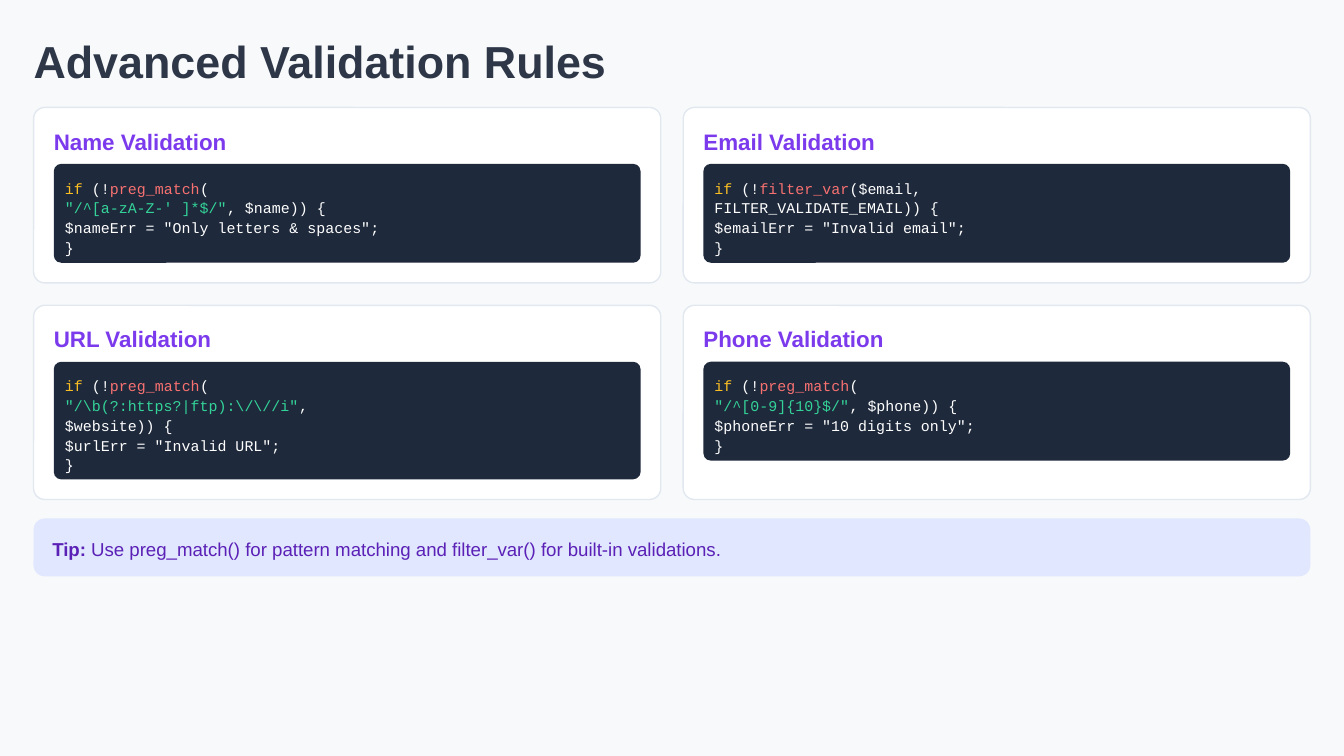
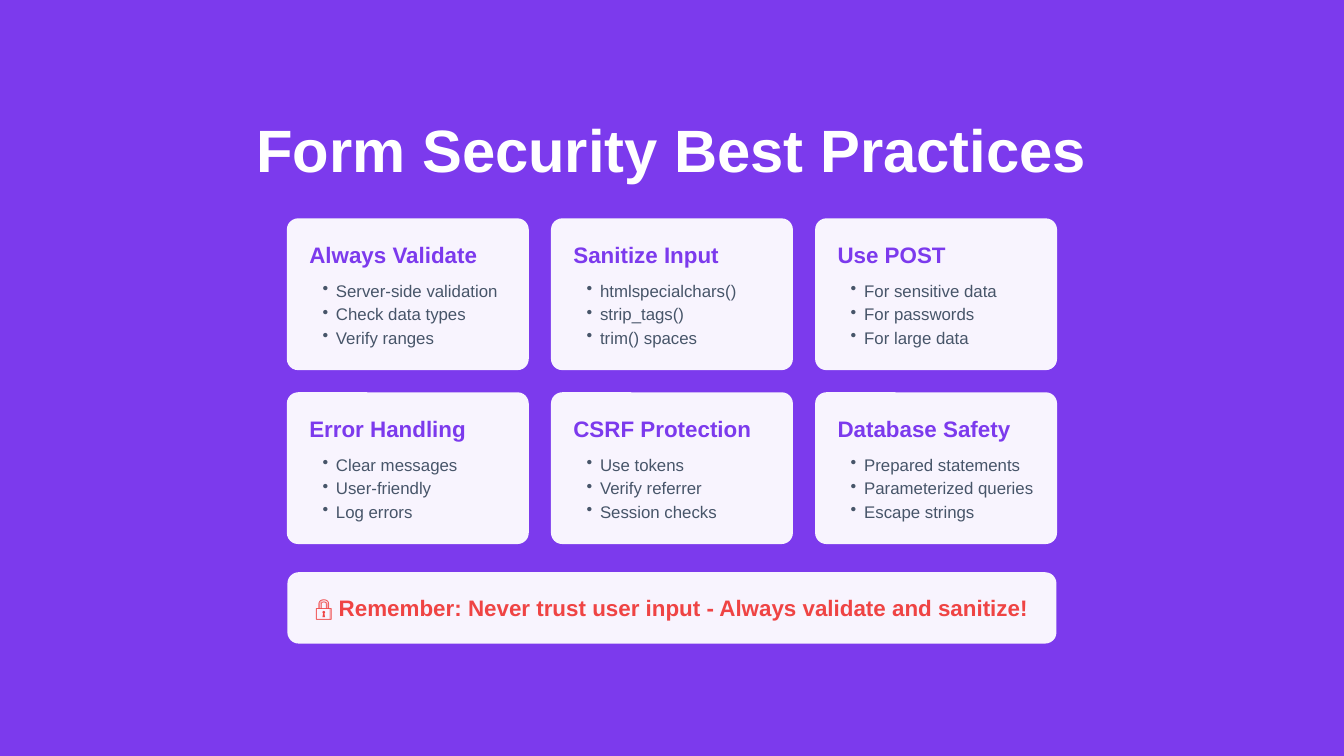
from dataclasses import dataclass
from typing import Optional

from lxml.etree import SubElement
from pptx import Presentation
from pptx.dml.color import RGBColor
from pptx.enum.shapes import MSO_SHAPE as Shapes
from pptx.enum.text import PP_ALIGN as Align
from pptx.oxml.ns import qn
from pptx.util import Pt

SANS, MONO = "Arial", "Courier New"
WHITE, PURPLE, DARK_PURPLE = "FFFFFF", "7C3AED", "5B21B6"
PAGE, INK, SLATE, BORDER = "F8F9FA", "2D3748", "475569", "E2E8F0"
CODE_PANEL, TIP_BAND, RED = "1E293B", "E0E7FF", "EF4444"
KEYWORD, CALL, STRING = "FBBF24", "F87171", "34D399"
RADIUS = 6


@dataclass(frozen=True)
class Box:
    """A rectangle in points."""
    left: float
    top: float
    width: float
    height: float


@dataclass(frozen=True)
class Span:
    """A piece of text with one colour and weight."""
    text: str
    color: str = WHITE
    bold: bool = False


@dataclass(frozen=True)
class TextStyle:
    """Font and paragraph settings of a text box."""
    size: float
    font: str = SANS
    align: Align = Align.LEFT
    paragraph_gap: float = 0
    line_spacing: Optional[float] = None
    inset: float = 0
    bullet: bool = False


@dataclass(frozen=True)
class CodeCard:
    """A validation rule with its code lines."""
    heading: str
    lines: tuple[tuple[Span, ...], ...]


@dataclass(frozen=True)
class PracticeCard:
    """A security practice with its bullet points."""
    heading: str
    points: tuple[str, ...]


HEADING = TextStyle(12)
CODE = TextStyle(8, MONO, paragraph_gap=1)
BULLETS = TextStyle(9, line_spacing=12.6, inset=7.2, bullet=True)


def opening(function: str, rest: str) -> tuple[Span, ...]:
    """Return the coloured first line of a PHP condition."""
    return Span("if", KEYWORD), Span(" (!"), Span(function, CALL), Span(rest)


CODE_CARDS = (
    CodeCard("Name Validation", (
        opening("preg_match", "("),
        (Span("\"/^[a-zA-Z-' ]*$/\"", STRING), Span(", $name)) {")),
        (Span('$nameErr = "Only letters & spaces";'),),
        (Span("}"),),
    )),
    CodeCard("Email Validation", (
        opening("filter_var", "($email,"),
        (Span("FILTER_VALIDATE_EMAIL)) {"),),
        (Span('$emailErr = "Invalid email";'),),
        (Span("}"),),
    )),
    CodeCard("URL Validation", (
        opening("preg_match", "("),
        (Span(r'"/\b(?:https?|ftp):\/\//i"', STRING), Span(",")),
        (Span("$website)) {"),),
        (Span('$urlErr = "Invalid URL";'),),
        (Span("}"),),
    )),
    CodeCard("Phone Validation", (
        opening("preg_match", "("),
        (Span('"/^[0-9]{10}$/"', STRING), Span(", $phone)) {")),
        (Span('$phoneErr = "10 digits only";'),),
        (Span("}"),),
    )),
)

PRACTICE_CARDS = (
    PracticeCard("Always Validate", ("Server-side validation", "Check data types", "Verify ranges")),
    PracticeCard("Sanitize Input", ("htmlspecialchars()", "strip_tags()", "trim() spaces")),
    PracticeCard("Use POST", ("For sensitive data", "For passwords", "For large data")),
    PracticeCard("Error Handling", ("Clear messages", "User-friendly", "Log errors")),
    PracticeCard("CSRF Protection", ("Use tokens", "Verify referrer", "Session checks")),
    PracticeCard("Database Safety", ("Prepared statements", "Parameterized queries", "Escape strings")),
)


def rgb(color: str) -> RGBColor:
    """Turn a hex string into a colour."""
    return RGBColor.from_string(color)


def points(box: Box) -> tuple[Pt, Pt, Pt, Pt]:
    """Return the box as lengths for python-pptx."""
    return Pt(box.left), Pt(box.top), Pt(box.width), Pt(box.height)


def add_slide(presentation, background: str):
    """Add a blank slide with a plain background."""
    slide = presentation.slides.add_slide(presentation.slide_layouts[6])
    fill = slide.background.fill
    fill.solid()
    fill.fore_color.rgb = rgb(background)
    return slide


def add_panel(slide, box: Box, color: str, radius: float = RADIUS,
              border: Optional[str] = None, opacity: int = 100) -> None:
    """Draw a rounded rectangle with a fixed corner radius."""
    shape = slide.shapes.add_shape(Shapes.ROUNDED_RECTANGLE, *points(box))
    shape.adjustments[0] = radius / min(box.width, box.height)
    shape.shadow.inherit = False
    shape.fill.solid()
    shape.fill.fore_color.rgb = rgb(color)
    if opacity < 100:
        solid_color = shape.element.spPr.find(f"{qn('a:solidFill')}/{qn('a:srgbClr')}")
        SubElement(solid_color, qn("a:alpha")).set("val", str(opacity * 1000))
    if border:
        shape.line.color.rgb = rgb(border)
        shape.line.width = Pt(0.75)
    else:
        shape.line.fill.background()


def add_bullet(paragraph, indent: float) -> None:
    """Give a paragraph a hanging bullet."""
    properties = paragraph._p.get_or_add_pPr()
    properties.set("marL", str(Pt(indent)))
    properties.set("indent", str(-Pt(indent)))
    SubElement(properties, qn("a:buChar")).set("char", "•")


def add_text(slide, box: Box, lines: tuple[tuple[Span, ...], ...], style: TextStyle) -> None:
    """Write one paragraph per line, run by run."""
    frame = slide.shapes.add_textbox(*points(box)).text_frame
    frame.word_wrap = True
    frame.margin_left = Pt(style.inset)
    frame.margin_top = frame.margin_right = frame.margin_bottom = 0
    for index, spans in enumerate(lines):
        paragraph = frame.add_paragraph() if index else frame.paragraphs[0]
        if style.bullet:
            add_bullet(paragraph, style.inset)
        paragraph.alignment = style.align
        if style.line_spacing:
            paragraph.line_spacing = Pt(style.line_spacing)
        if index and style.paragraph_gap:
            paragraph.space_before = Pt(style.paragraph_gap)
        for span in spans:
            run = paragraph.add_run()
            run.text = span.text
            run.font.name = style.font
            run.font.size = Pt(style.size)
            run.font.bold = span.bold
            run.font.color.rgb = rgb(span.color)


def add_heading(slide, left: float, top: float, width: float, text: str) -> None:
    """Write the purple heading of a card."""
    add_text(slide, Box(left, top, width, 14), ((Span(text, PURPLE, True),),), HEADING)


def add_code_card(slide, left: float, top: float, height: float, card: CodeCard) -> None:
    """Draw a bordered card with a dark code panel."""
    width, padding = 336, 10.8
    add_panel(slide, Box(left, top, width, height), WHITE, border=BORDER)
    inner_left, inner_width = left + padding, width - 2 * padding
    add_heading(slide, inner_left, top + padding, inner_width, card.heading)
    panel = Box(inner_left, top + 30.2, inner_width, code_height(card))
    add_panel(slide, panel, CODE_PANEL, radius=4)
    code = Box(panel.left + 6, panel.top + 8.2, panel.width - 6, 10 * len(card.lines))
    add_text(slide, code, card.lines, CODE)


def code_height(card: CodeCard) -> float:
    """Return the height of the code panel."""
    return 13 + 10 * len(card.lines)


def add_practice_card(slide, left: float, top: float, card: PracticeCard) -> None:
    """Draw a translucent card with bullet points."""
    padding = 12
    add_panel(slide, Box(left, top, 129.6, 81.3), WHITE, opacity=95)
    add_heading(slide, left + padding, top + padding, 108, card.heading)
    lines = tuple((Span(point, SLATE),) for point in card.points)
    add_text(slide, Box(left + padding, top + 31.5, 108, 37.8), lines, BULLETS)


def build_validation_slide(presentation) -> None:
    """Build the slide with the four validation rules."""
    slide = add_slide(presentation, PAGE)
    title = ((Span("Advanced Validation Rules", INK, True),),)
    add_text(slide, Box(18, 18, 698, 28), title, TextStyle(24))
    columns, top = 2, 57.6
    for start in range(0, len(CODE_CARDS), columns):
        row = CODE_CARDS[start:start + columns]
        height = 41 + max(code_height(card) for card in row)
        for column, card in enumerate(row):
            add_code_card(slide, 18 + 348 * column, top, height, card)
        top += height + 12
    add_panel(slide, Box(18, 277.8, 684, 31), TIP_BAND)
    tip = ((
        Span("Tip:", DARK_PURPLE, True),
        Span(" Use preg_match() for pattern matching and filter_var() for built-in validations.",
             DARK_PURPLE),
    ),)
    add_text(slide, Box(28, 288, 674, 11.5), tip, TextStyle(10))


def build_security_slide(presentation) -> None:
    """Build the slide with the six security practices."""
    slide = add_slide(presentation, PURPLE)
    title = ((Span("Form Security Best Practices", WHITE, True),),)
    add_text(slide, Box(133.2, 60.5, 453.6, 36.7), title, TextStyle(32, align=Align.CENTER))
    for index, card in enumerate(PRACTICE_CARDS):
        row, column = divmod(index, 3)
        add_practice_card(slide, 153.7 + 141.5 * column, 117 + 93.2 * row, card)
    add_panel(slide, Box(154, 306.6, 412, 38.2), WHITE, opacity=95)
    reminder = "🔒 Remember: Never trust user input - Always validate and sanitize!"
    add_text(slide, Box(162, 318.4, 396, 14.4), ((Span(reminder, RED, True),),),
             TextStyle(12, align=Align.CENTER))


def main() -> None:
    """Build and save the presentation."""
    presentation = Presentation()
    presentation.slide_width, presentation.slide_height = Pt(720), Pt(405)
    build_validation_slide(presentation)
    build_security_slide(presentation)
    presentation.save("out.pptx")


if __name__ == "__main__":
    main()
